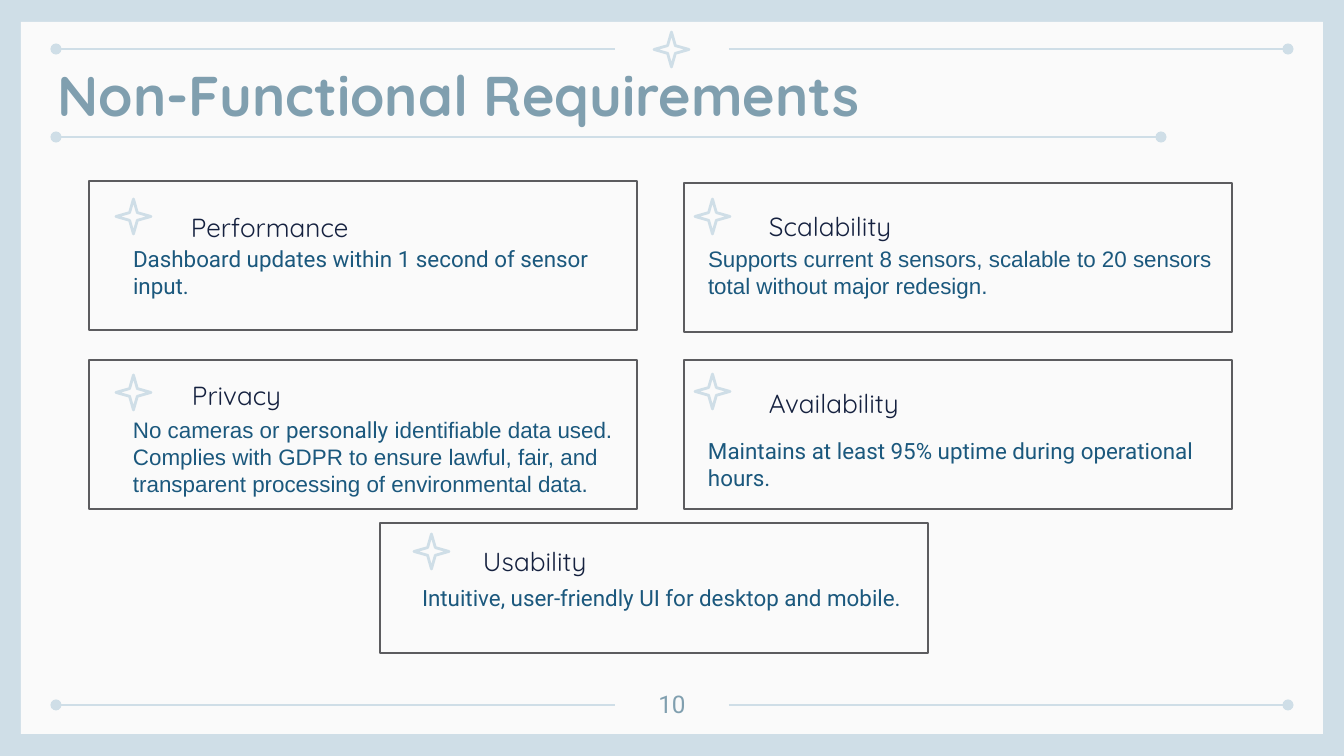
from lxml import etree
from pptx import Presentation
from pptx import util as u
from pptx.dml.color import RGBColor
from pptx.enum import shapes, text
from pptx.oxml.ns import qn

EMU_PER_PX = 9144000 / 1344
WIDTH, HEIGHT = 1344, 756

FRAME, PAPER, ACCENT = "CFDEE7", "FAFAFA", "809FAF"
HEADING, BODY, BORDER = "15213F", "1B587D", "5C5C5F"

TITLE_STYLE = {"name": "Quicksand", "size": u.Pt(30), "bold": True}
HEADING_STYLE = {"name": "Quicksand", "size": u.Pt(14)}
ROBOTO = {"name": "Roboto", "size": u.Pt(12)}
ARIAL = {"name": "Arial", "size": u.Pt(12)}
NUMBER_STYLE = {"name": "Roboto", "size": u.Pt(13)}

CARD_WIDTH, STAR_SIZE = 548, 35
BODY_INSETS = (13, 7, 13, 7)
WIDE_INSETS = (13, 13, 13, 13)

# card (x, y, height), star (x, y), heading (x, y), body (x, y, width, height)
CARDS = [
    ((89, 181, 149), (116, 199), (191, 181), (120, 238, 499, 67), "Performance",
     [("Dashboard updates within 1 second of sensor input.", ROBOTO)]),
    ((684, 183, 149), (695, 199), (769, 180), (695, 238, 566, 67), "Scalability",
     [("Supports current 8 sensors, scalable to 20 sensors total "
       "without major redesign.", ARIAL)]),
    ((89, 360, 149), (116, 375), (192, 349), (120, 409, 579, 95), "Privacy",
     [("No cameras or ", ARIAL), ("personally", ROBOTO),
      (" identifiable data used. Complies with GDPR to ensure lawful, fair, "
       "and transparent processing of environmental data.", ARIAL)]),
    ((684, 360, 149), (695, 374), (769, 357), (695, 430, 579, 67), "Availability",
     [("Maintains at least 95% uptime during operational hours.", ROBOTO)]),
    ((380, 523, 130), (414, 534), (483, 515), (409, 577, 515, 40), "Usability",
     [("Intuitive, user-friendly UI for desktop and mobile.", ROBOTO)]),
]


def px(value):
    return u.Emu(round(value * EMU_PER_PX))


def color(hex_string):
    return RGBColor.from_string(hex_string)


class SlideBuilder:
    def __init__(self, slide):
        self.slide = slide

    def background(self, fill):
        self.slide.background.fill.solid()
        self.slide.background.fill.fore_color.rgb = color(fill)

    def shape(self, kind, x, y, width, height, fill=None, line=None, weight=1.5):
        shape = self.slide.shapes.add_shape(kind, px(x), px(y), px(width), px(height))
        shape.shadow.inherit = False
        if fill:
            shape.fill.solid()
            shape.fill.fore_color.rgb = color(fill)
        else:
            shape.fill.background()
        if line:
            shape.line.color.rgb = color(line)
            shape.line.width = u.Pt(weight)
        else:
            shape.line.fill.background()
        return shape

    def rectangle(self, *box, **style):
        return self.shape(shapes.MSO_SHAPE.RECTANGLE, *box, **style)

    def star(self, x, y):
        star = self.shape(shapes.MSO_SHAPE.STAR_4_POINT, x, y, STAR_SIZE, STAR_SIZE,
                          line=FRAME)
        star.adjustments[0] = 0.157

    def rule(self, x1, x2, y, dots):
        """Draw a horizontal line with round ends at the named dots."""
        rule = self.slide.shapes.add_connector(
            shapes.MSO_CONNECTOR.STRAIGHT, px(x1), px(y), px(x2), px(y))
        rule.line.color.rgb = color(FRAME)
        rule.line.width = u.Pt(1.5)
        line = rule.line._get_or_add_ln()
        for end in dots:
            etree.SubElement(line, qn(f"a:{end}"), type="oval")
        etree.SubElement(rule._element.spPr, qn("a:effectLst"))

    def label(self, box, runs, fill, insets=(0, 0, 0, 0), spacing=None,
              align=text.PP_ALIGN.LEFT, anchor=text.MSO_ANCHOR.TOP):
        """Add a one-paragraph text box; runs are (words, font values) pairs."""
        frame = self.slide.shapes.add_textbox(*map(px, box)).text_frame
        frame.word_wrap = True
        frame.vertical_anchor = anchor
        for side, inset in zip(("left", "top", "right", "bottom"), insets):
            setattr(frame, f"margin_{side}", px(inset))
        paragraph = frame.paragraphs[0]
        paragraph.alignment = align
        paragraph.line_spacing = spacing
        for words, style in runs:
            run = paragraph.add_run()
            run.text = words
            run.font.color.rgb = color(fill)
            for name, value in style.items():
                setattr(run.font, name, value)

    def card(self, card, star, heading, body, title, runs):
        x, y, height = card
        self.star(*star)
        self.label((*heading, 400, 53), [(title, HEADING_STYLE)], HEADING, spacing=1.96)
        self.label(body, runs, BODY, BODY_INSETS)
        self.rectangle(x, y, CARD_WIDTH, height, line=BORDER, weight=0.75)


def main():
    presentation = Presentation()
    presentation.slide_width, presentation.slide_height = px(WIDTH), px(HEIGHT)
    builder = SlideBuilder(presentation.slides.add_slide(presentation.slide_layouts[6]))
    center = text.PP_ALIGN.CENTER

    builder.background(FRAME)
    builder.rectangle(21, 22, 1302, 712, fill=PAPER)
    for y in (49, 705):
        builder.rule(56, 615, y, ["headEnd"])
        builder.rule(729, 1288, y, ["tailEnd"])
    builder.star(654, 32)
    builder.label((15, 64, 888, 73), [("Non-Functional Requirements", TITLE_STYLE)],
                  ACCENT, WIDE_INSETS, 0.8, center, text.MSO_ANCHOR.MIDDLE)
    builder.label((632, 676, 80, 48), [("10", NUMBER_STYLE)], ACCENT, WIDE_INSETS,
                  align=center)
    builder.rule(56, 1161, 137, ["headEnd", "tailEnd"])
    for card in CARDS:
        builder.card(*card)

    presentation.save("out.pptx")


if __name__ == "__main__":
    main()
